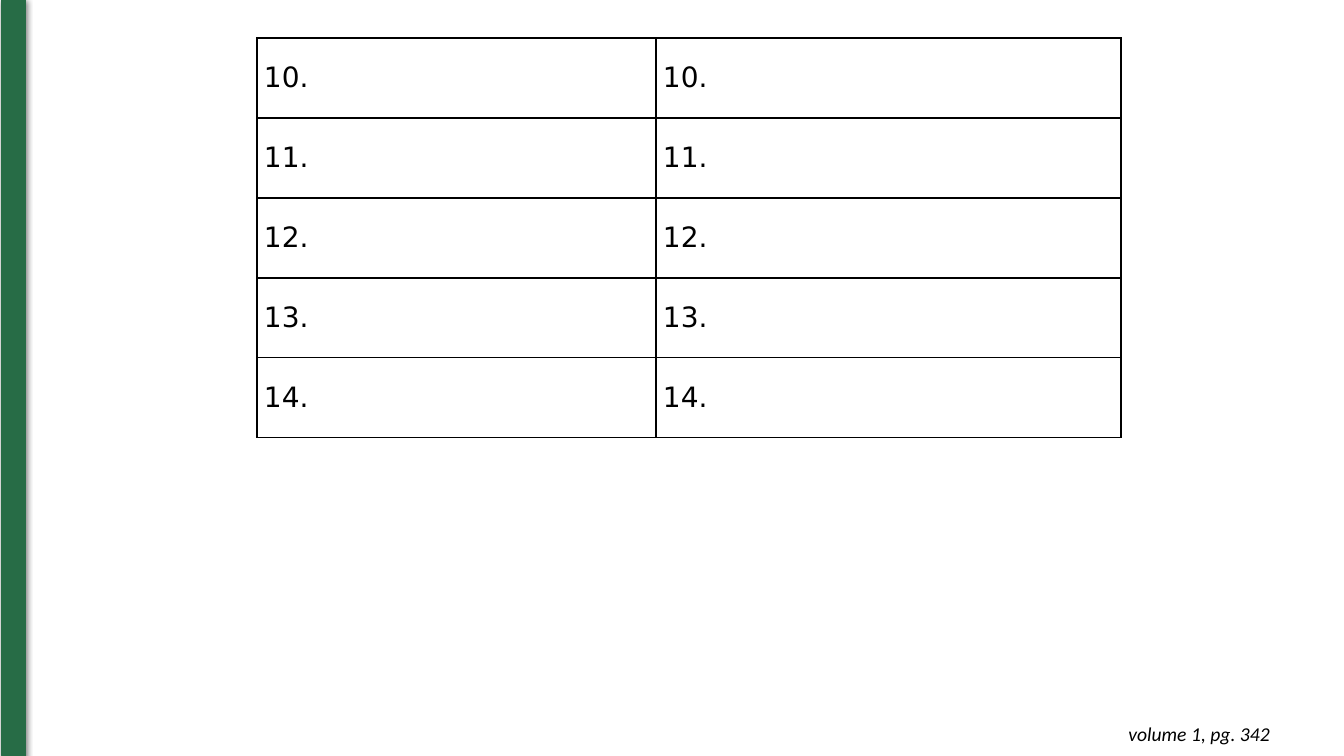
from lxml import etree
from pptx import Presentation
from pptx.dml.color import RGBColor
from pptx.enum.shapes import MSO_SHAPE
from pptx.enum.text import MSO_ANCHOR, MSO_AUTO_SIZE, PP_ALIGN
from pptx.oxml import parse_xml
from pptx.util import Emu, Pt

RECT = MSO_SHAPE.RECTANGLE
MIDDLE = MSO_ANCHOR.MIDDLE
GROW = MSO_AUTO_SIZE.SHAPE_TO_FIT_TEXT
RIGHT = PP_ALIGN.RIGHT
NS = "http://schemas.openxmlformats.org/drawingml/2006/main"

HUES = {"green": "276C46", "black": "000000"}
ITEMS = ["10.", "11.", "12.", "13.", "14."]
NOTE = "volume 1, pg. 342"
SIZE = (1344, 756)
BAR = (2, -1, 24, 757)
FOOT = (990, 712, 290, 44)
GRID = {"left": 257, "top": 38, "cols": (399, 465), "row": 80}
FONTS = {
    "cell": {"name": "DejaVu Sans", "size": Pt(20), "bold": False},
    "note": {"name": "Calibri", "size": Pt(14), "italic": True},
}


def px(n):
    return Emu(round(n * 914400 / 100.8))


def hue(name):
    return RGBColor.from_string(HUES[name])


def assign(target, values):
    for key, value in values.items():
        setattr(target, key, value)


def write(para, text, style):
    run = para.add_run()
    run.text = text
    assign(run.font, FONTS[style])
    run.font.color.rgb = hue("black")


def add_bar(slide):
    bar = slide.shapes.add_shape(RECT, *map(px, BAR))
    bar.fill.solid()
    bar.fill.fore_color.rgb = hue("green")
    bar.line.color.rgb = hue("green")
    bar.line.width = Pt(0.75)
    bar.shadow.inherit = False
    effects = bar._element.spPr.find(f"{{{NS}}}effectLst")
    effects.append(parse_xml(
        f'<a:outerShdw xmlns:a="{NS}" blurRad="{Pt(4.5)}" dist="{Pt(1.5)}" '
        f'dir="5400000" rotWithShape="0"><a:srgbClr val="{HUES["black"]}">'
        '<a:alpha val="50000"/></a:srgbClr></a:outerShdw>'))


def add_note(slide):
    frame = slide.shapes.add_textbox(*map(px, FOOT)).text_frame
    assign(frame, {"word_wrap": True, "auto_size": GROW})
    assign(frame, {f"margin_{side}": px(10)
                   for side in ("left", "top", "right", "bottom")})
    para = frame.paragraphs[0]
    para.alignment = RIGHT
    write(para, NOTE, "note")


def add_edges(cell):
    props = cell._tc.get_or_add_tcPr()
    for side in "LRTB":
        edge = etree.SubElement(props, f"{{{NS}}}ln{side}", w=str(Pt(1)))
        fill = etree.SubElement(edge, f"{{{NS}}}solidFill")
        etree.SubElement(fill, f"{{{NS}}}srgbClr", val=HUES["black"])


def add_grid(slide):
    cols, row = GRID["cols"], GRID["row"]
    frame = slide.shapes.add_table(
        len(ITEMS), len(cols), px(GRID["left"]), px(GRID["top"]),
        px(sum(cols)), px(row * len(ITEMS)))
    table = frame.table
    assign(table, {"first_row": False, "horz_banding": False})
    for col, width in zip(table.columns, cols):
        col.width = px(width)
    for line, text in zip(table.rows, ITEMS):
        line.height = px(row)
        for cell in line.cells:
            assign(cell, {"vertical_anchor": MIDDLE,
                          "margin_left": px(7), "margin_right": px(7),
                          "margin_top": 0, "margin_bottom": 0})
            add_edges(cell)
            cell.fill.background()
            write(cell.text_frame.paragraphs[0], text, "cell")


def main():
    deck = Presentation()
    deck.slide_width, deck.slide_height = map(px, SIZE)
    slide = deck.slides.add_slide(deck.slide_layouts[6])
    add_bar(slide)
    add_note(slide)
    add_grid(slide)
    deck.save("out.pptx")


if __name__ == "__main__":
    main()
